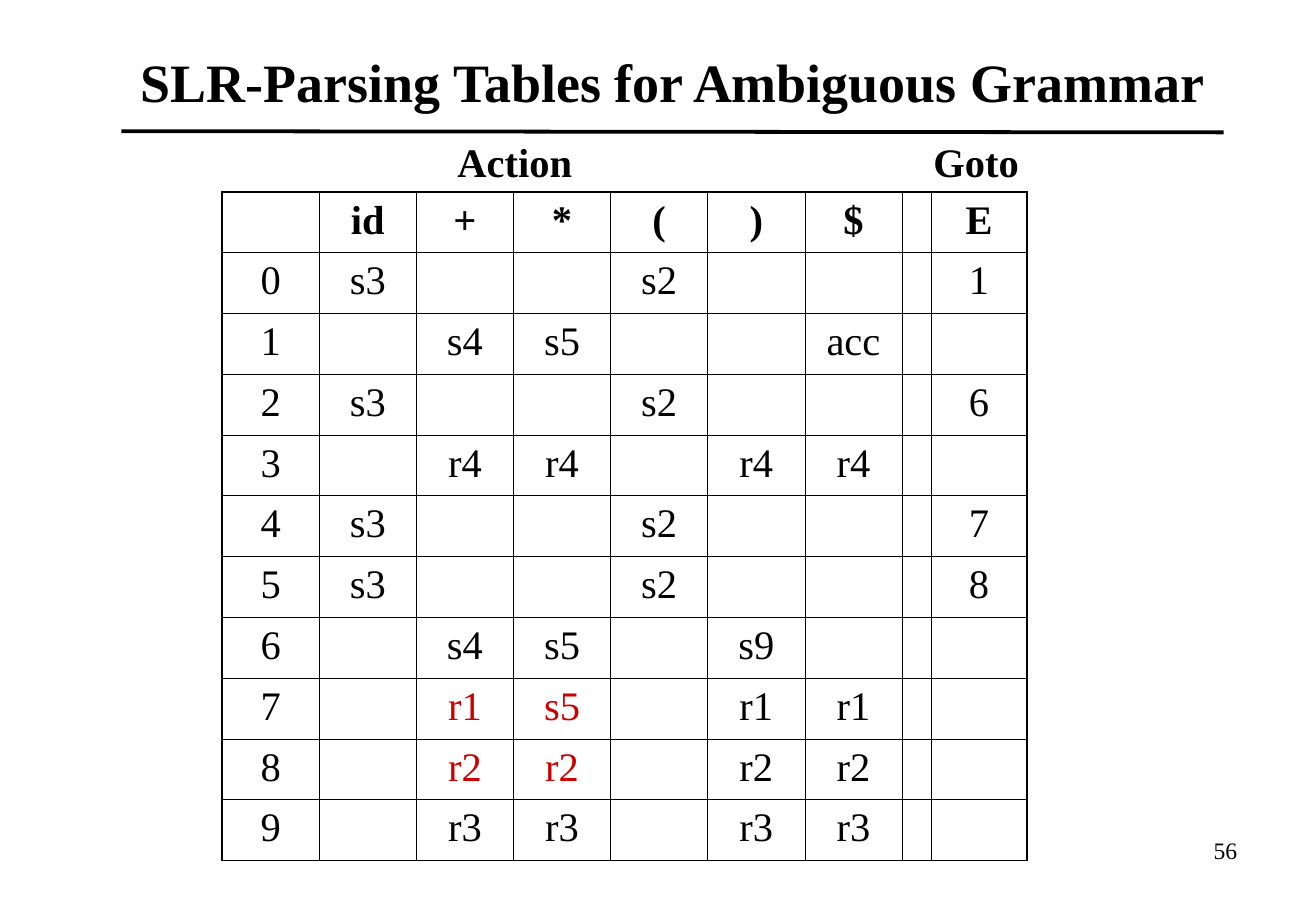
from lxml import etree
from pptx import Presentation, util as u
from pptx.dml.color import RGBColor
from pptx.enum import shapes, text
from pptx.oxml import ns

INK = {"black": "000000", "red": "CC0000"}
ALIGN, ANCHOR, SIZE = text.PP_ALIGN, text.MSO_ANCHOR, text.MSO_AUTO_SIZE
FONT = "Times New Roman"


def write(frame, words, size, bold=False, ink="black", align=ALIGN.CENTER):
    para = frame.paragraphs[0]
    para.alignment = align
    run = para.add_run()
    run.text = words
    style = {"name": FONT, "size": u.Pt(size), "bold": bold}
    for key, value in style.items():
        setattr(run.font, key, value)
    run.font.color.rgb = RGBColor.from_string(INK[ink])
    return para


def border(cell, side, width):
    line = etree.SubElement(cell._tc.get_or_add_tcPr(), ns.qn("a:ln" + side))
    line.set("w", str(u.Pt(width)))
    fill = etree.SubElement(line, ns.qn("a:solidFill"))
    etree.SubElement(fill, ns.qn("a:srgbClr")).set("val", INK["black"])


deck = Presentation()
deck.slide_width, deck.slide_height = u.Inches(10.84), u.Inches(7.5)
slide = deck.slides.add_slide(deck.slide_layouts[6])

# Title, column group labels and page number
labels = [
    ("SLR-Parsing Tables for Ambiguous Grammar", (0.42, 0.17, 10.25, 1),
     32, True, ALIGN.CENTER, ANCHOR.MIDDLE, True),
    ("Action", (3.67, 1.08, 1.16, 0.5), 24, True, ALIGN.LEFT, ANCHOR.TOP, False),
    ("Goto", (7.59, 1.08, 0.92, 0.5), 24, True, ALIGN.LEFT, ANCHOR.TOP, False),
    ("56", (7.76, 6.83, 2.53, 0.52), 14, False, ALIGN.RIGHT, ANCHOR.TOP, True),
]
for words, place, size, bold, align, anchor, wrap in labels:
    frame = slide.shapes.add_textbox(*map(u.Inches, place)).text_frame
    frame.word_wrap = wrap
    frame.auto_size = SIZE.NONE if wrap else SIZE.SHAPE_TO_FIT_TEXT
    frame.vertical_anchor = anchor
    write(frame, words, size, bold, align=align)

# Rule under the title
ends = map(u.Inches, (1, 1.08, 10.08, 1.09))
rule = slide.shapes.add_connector(shapes.MSO_CONNECTOR.STRAIGHT, *ends)
rule.line.width = u.Pt(2.25)
rule.line.color.rgb = RGBColor.from_string(INK["black"])
etree.SubElement(rule._element.spPr, ns.qn("a:effectLst"))

# Parsing table: state, six action columns, a gap, goto column
rows = [line.split(",") for line in (
    ",id,+,*,(,),$,,E",
    "0,s3,,,s2,,,,1",
    "1,,s4,s5,,,acc,,",
    "2,s3,,,s2,,,,6",
    "3,,r4,r4,,r4,r4,,",
    "4,s3,,,s2,,,,7",
    "5,s3,,,s2,,,,8",
    "6,,s4,s5,,s9,,,",
    "7,,r1,s5,,r1,r1,,",
    "8,,r2,r2,,r2,r2,,",
    "9,,r3,r3,,r3,r3,,",
)]
widths = [0.8] * 7 + [0.24, 0.79]
place = map(u.Inches, (1.83, 1.58, sum(widths), 5.5))
table = slide.shapes.add_table(len(rows), len(widths), *place).table
table.first_row = table.horz_banding = False
for column, width in zip(table.columns, widths):
    column.width = u.Inches(width)

last_row, last_col = len(rows) - 1, len(widths) - 1
for r, row in enumerate(rows):
    table.rows[r].height = u.Inches(0.5)
    for c, words in enumerate(row):
        cell = table.cell(r, c)
        outer = {"L": c == 0, "R": c == last_col, "T": r == 0, "B": r == last_row}
        for side, edge in outer.items():
            border(cell, side, 1.08 if edge else 0.45)
        cell.fill.background()
        if words:
            # Conflicts on + and * in states 7 and 8 are red
            clash = row[0] in ("7", "8") and c in (2, 3)
            para = write(cell.text_frame, words, 24, r == 0,
                         "red" if clash else "black")
            para.space_before = u.Pt(6)

deck.save("out.pptx")
